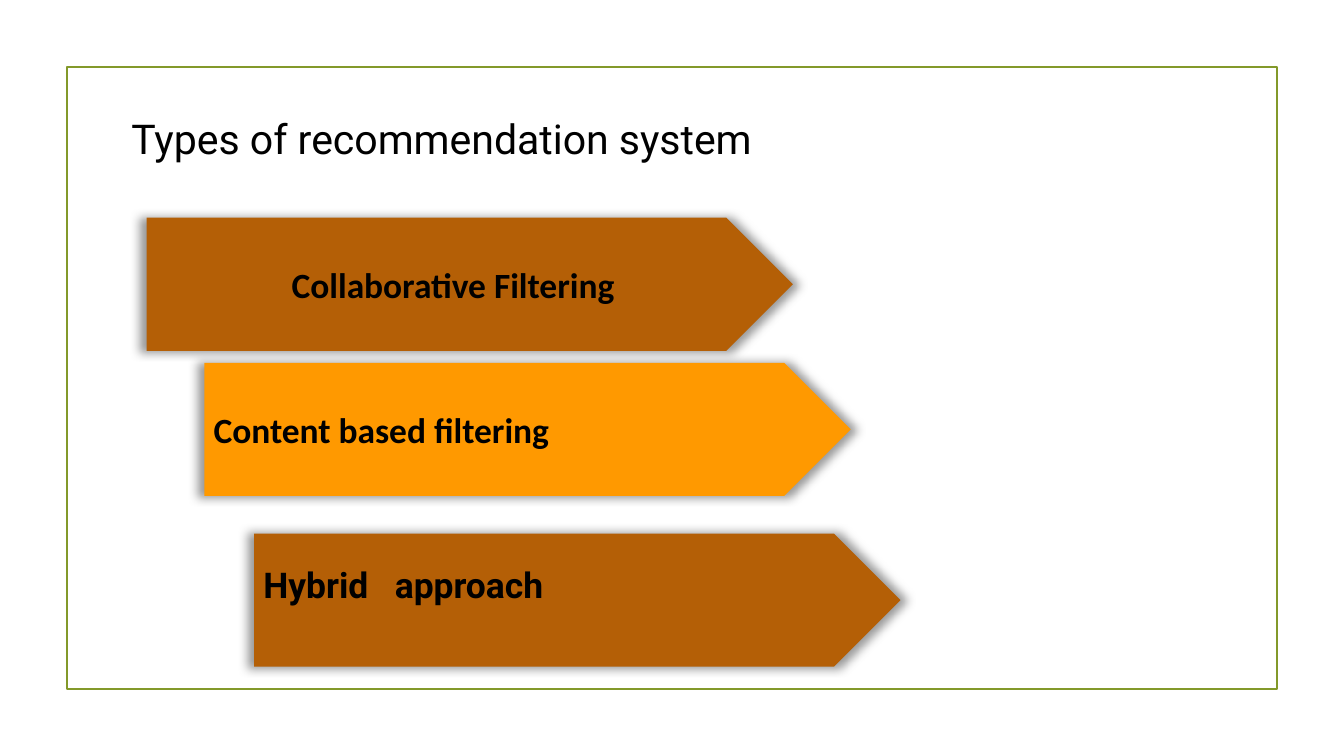
from lxml.etree import SubElement
from pptx import Presentation
from pptx.dml.color import RGBColor
from pptx.enum.shapes import MSO_SHAPE
from pptx.enum.text import MSO_ANCHOR, PP_ALIGN
from pptx.oxml.ns import qn
from pptx.util import Inches, Pt

COLORS = {
    "frame": "83992A",
    "brown": "B45F06",
    "orange": "FF9900",
    "text": "000000",
    "shadow": "000000",
}
WORD_GAP = 940


def color(name):
    return RGBColor.from_string(COLORS[name])


def set_margins(frame, side, edge):
    frame.margin_left = frame.margin_right = Inches(side)
    frame.margin_top = frame.margin_bottom = Inches(edge)


def format_run(run, font, size, bold=False):
    run.font.name = font
    run.font.size = Pt(size)
    run.font.bold = bold
    run.font.color.rgb = color("text")


def add_glow_shadow(shape):
    effects = shape._element.spPr.find(qn("a:effectLst"))
    shadow = SubElement(
        effects, qn("a:outerShdw"), blurRad=str(Pt(5)), dist="0", dir="0",
        sx="102000", sy="102000", algn="ctr", rotWithShape="0")
    tint = SubElement(shadow, qn("a:srgbClr"), val=COLORS["shadow"])
    SubElement(tint, qn("a:alpha"), val="40000")


def add_frame(slide, left, top, width, height):
    border = slide.shapes.add_shape(
        MSO_SHAPE.RECTANGLE, Inches(left), Inches(top), Inches(width), Inches(height))
    border.shadow.inherit = False
    border.fill.background()
    border.line.color.rgb = color("frame")
    border.line.width = Pt(1.25)


def add_title(slide, left, top, width, height):
    title = slide.shapes.add_textbox(Inches(left), Inches(top), Inches(width), Inches(height))
    frame = title.text_frame
    frame.word_wrap = True
    set_margins(frame, 0.1, 0.05)
    frame.text = "Types of recommendation system"
    frame.paragraphs[0].line_spacing = 0.9
    format_run(frame.paragraphs[0].runs[0], "Roboto", 22)


def add_arrow(slide, left, top, width, height, words, fill, font, align, lift=0):
    arrow = slide.shapes.add_shape(
        MSO_SHAPE.PENTAGON, Inches(left), Inches(top), Inches(width), Inches(height))
    arrow.adjustments[0] = 0.5
    arrow.shadow.inherit = False
    add_glow_shadow(arrow)
    arrow.fill.solid()
    arrow.fill.fore_color.rgb = color(fill)
    arrow.line.fill.background()
    frame = arrow.text_frame
    frame.word_wrap = True
    frame.vertical_anchor = MSO_ANCHOR.MIDDLE
    set_margins(frame, 0.07, 0.04)
    frame.margin_bottom = Inches(0.04 + lift)
    label = frame.paragraphs[0]
    label.alignment = align
    for word in words:
        run = label.add_run()
        run.text = word
        format_run(run, font, 19, True)
        if word == " ":
            run.font._element.set("spc", str(WORD_GAP))


def add_types(slide, left, top, width, height):
    arrows = [
        (0, 0, ["Collaborative Filtering"], "brown", "Calibri", PP_ALIGN.CENTER, 0),
        (0.43, 1.08, ["Content based filtering"], "orange", "Calibri", PP_ALIGN.LEFT, 0),
        (0.8, 2.35, ["Hybrid", " ", "approach"], "brown", "Roboto", PP_ALIGN.LEFT, 0.23),
    ]
    for indent, drop, *content in arrows:
        add_arrow(slide, left + indent, top + drop, width - 0.8, height - 2.35, *content)


def main():
    presentation = Presentation()
    presentation.slide_width = Inches(10)
    presentation.slide_height = presentation.slide_width * 9 // 16
    slide = presentation.slides.add_slide(presentation.slide_layouts[6])
    add_frame(slide, 0.5, 0.5, 9, 4.63)
    add_title(slide, 0.88, 0.84, 5.02, 0.43)
    add_types(slide, 1.09, 1.62, 5.61, 3.34)
    presentation.save("out.pptx")


if __name__ == "__main__":
    main()
